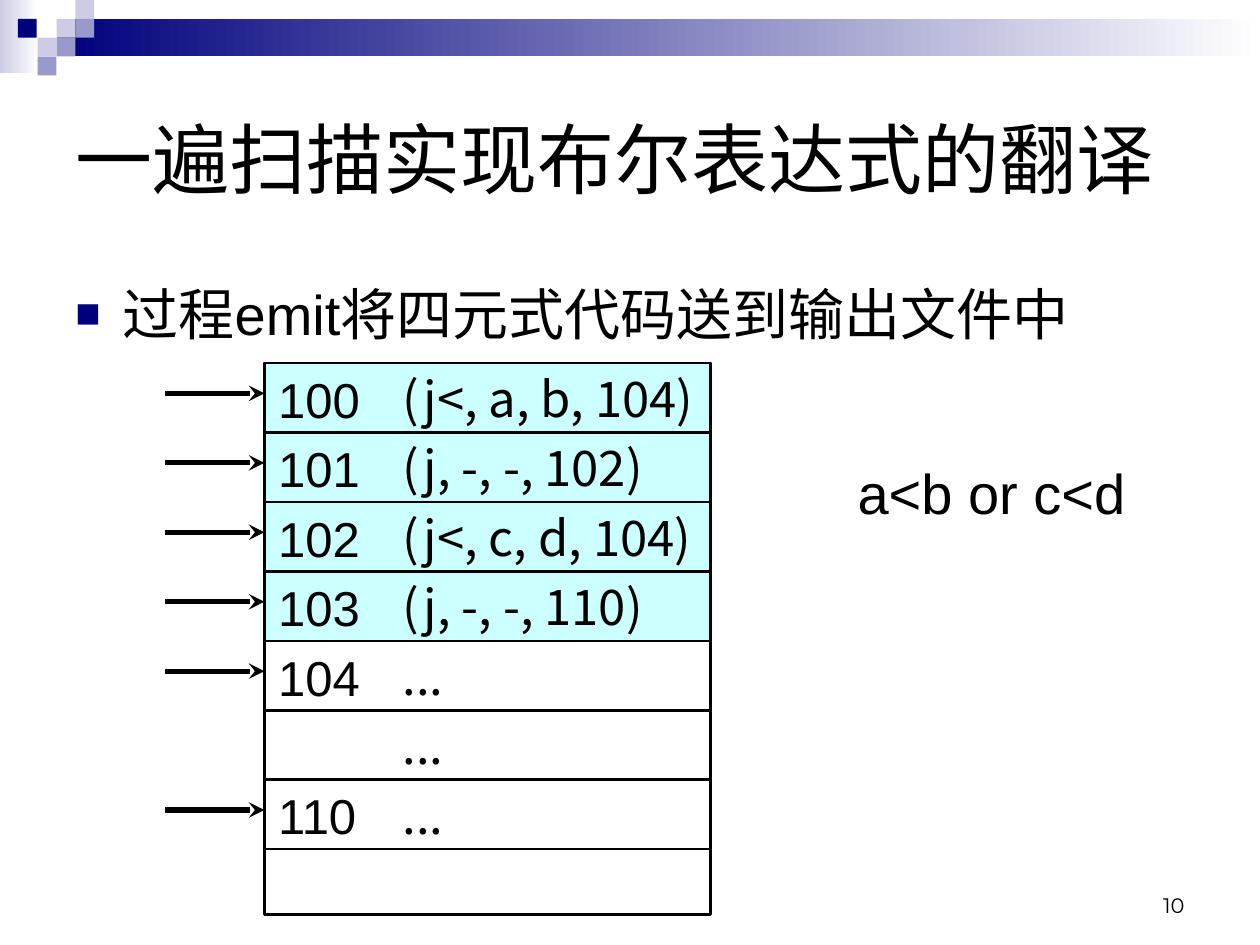
from lxml.etree import SubElement
from pptx import Presentation
from pptx.dml.color import RGBColor
from pptx.enum.shapes import MSO_CONNECTOR, MSO_SHAPE
from pptx.enum.text import MSO_ANCHOR as ANCHOR, MSO_AUTO_SIZE, PP_ALIGN as ALIGN
from pptx.oxml.ns import qn
from pptx.util import Cm, Pt

COLORS = {"black": "000000", "white": "FFFFFF", "navy": "00007D",
          "lilac": "CCCCE6", "violet": "9999CC", "cyan": "CCFFFF"}
CJK = "Noto Sans CJK SC"

# Code table: label, quadruple, filled, arrow in front
ROWS = [("100", "(j<, a, b, 104)", True, True),
        ("101", "(j, -, -, 102)", True, True),
        ("102", "(j<, c, d, 104)", True, True),
        ("103", "(j, -, -, 110)", True, True),
        ("104", "...", False, True),
        ("", "...", False, False),
        ("110", "...", False, True)]
TABLE_X, TABLE_Y, TABLE_W, TABLE_H, ROW_H = 5.33, 7.32, 9, 11.12, 1.4

# Small header squares: left, top, colour
SQUARE = 0.38
SQUARES = [(1.14, 0.38, "lilac"), (1.52, 0, "lilac"), (1.52, 0.38, "violet"),
           (0.76, 0.76, "lilac"), (0.36, 0.38, "navy"),
           (1.14, 0.76, "violet"), (0.76, 1.14, "violet")]


def rgb(name):
    return RGBColor.from_string(COLORS[name])


def write(sp, text, size=28, font="Arial", align=ALIGN.LEFT, anchor=ANCHOR.TOP,
          wrap=True, left=0.25, right=0.25):
    tf = sp.text_frame
    tf.auto_size = MSO_AUTO_SIZE.NONE
    tf.word_wrap = wrap
    tf.vertical_anchor = anchor
    tf.margin_left, tf.margin_right = Cm(left), Cm(right)
    p = tf.paragraphs[0]
    p.alignment = align
    r = p.add_run()
    r.text = text
    r.font.size, r.font.name = Pt(size), font
    r.font.color.rgb = rgb("black")
    SubElement(r.font._element, qn("a:ea"), typeface=CJK)
    return p


def place(sp, x, y, w, h):
    sp.left, sp.top, sp.width, sp.height = Cm(x), Cm(y), Cm(w), Cm(h)


def add_rect(slide, x, y, w, h, fill=None, fade_to=None, outlined=False):
    sp = slide.shapes.add_shape(MSO_SHAPE.RECTANGLE, Cm(x), Cm(y), Cm(w), Cm(h))
    sp.shadow.inherit = False
    if fade_to:
        sp.fill.gradient()
        sp.fill.gradient_angle = 0
        for stop, name in zip(sp.fill.gradient_stops, (fill, fade_to)):
            stop.color.rgb = rgb(name)
    elif fill:
        sp.fill.solid()
        sp.fill.fore_color.rgb = rgb(fill)
    else:
        sp.fill.background()
    if outlined:
        sp.line.color.rgb = rgb("black")
        sp.line.width = Pt(1.5)
    else:
        sp.line.fill.background()
    return sp


def add_label(slide, x, y, w, h, text, **fmt):
    return write(slide.shapes.add_textbox(Cm(x), Cm(y), Cm(w), Cm(h)), text, **fmt)


def add_arrow(slide, x1, x2, y):
    line = slide.shapes.add_connector(MSO_CONNECTOR.STRAIGHT, Cm(x1), Cm(y), Cm(x2), Cm(y))
    line.line.color.rgb = rgb("black")
    line.line.width = Pt(3)
    SubElement(line.line._get_or_add_ln(), qn("a:tailEnd"), type="stealth")
    SubElement(line._element.spPr, qn("a:effectLst"))


def set_bullet(p, char, color, percent, indent):
    pPr = p._p.get_or_add_pPr()
    pPr.set("marL", str(Cm(indent)))
    pPr.set("indent", str(-Cm(indent)))
    SubElement(SubElement(pPr, qn("a:buClr")), qn("a:srgbClr"), val=COLORS[color])
    SubElement(pPr, qn("a:buSzPct"), val=str(percent * 1000))
    SubElement(pPr, qn("a:buFont"), typeface="Arial")
    SubElement(pPr, qn("a:buChar"), char=char)


def add_header(slide):
    add_rect(slide, 0, 0, 0.79, 1.47, "lilac", fade_to="white")
    add_rect(slide, 1.14, 0.38, 24.26, 0.76, "navy", fade_to="white")
    for x, y, name in SQUARES:
        add_rect(slide, x, y, SQUARE, SQUARE, name)


def add_code_table(slide):
    add_rect(slide, TABLE_X, TABLE_Y, TABLE_W, TABLE_H, outlined=True)
    for i, (label, code, filled, arrow) in enumerate(ROWS):
        y = TABLE_Y + i * ROW_H
        row = add_rect(slide, TABLE_X, y, TABLE_W, ROW_H,
                       "cyan" if filled else None, outlined=True)
        write(row, code, font=CJK, anchor=ANCHOR.MIDDLE, left=2.79, right=0)
        if label:
            add_label(slide, TABLE_X + 0.03, y, 2.16, 1.45, label, wrap=False)
        if arrow:
            add_arrow(slide, TABLE_X - 2, TABLE_X, y + 0.61)


def main():
    prs = Presentation()
    prs.slide_width, prs.slide_height = Cm(25.4), Cm(19.05)
    slide = prs.slides.add_slide(prs.slide_layouts[1])
    add_header(slide)

    # Title and bullet
    title, body = slide.placeholders
    place(title, 1.27, 1.27, 23.44, 3.81)
    write(title, "一遍扫描实现布尔表达式的翻译", size=44, anchor=ANCHOR.MIDDLE)
    place(body, 1.27, 5.51, 22.86, 10.8)
    p = write(body, "过程emit将四元式代码送到输出文件中", size=32)
    p.space_before = Pt(8)
    set_bullet(p, "■", "navy", 75, 0.95)

    # Generated code, source expression and page number
    add_code_table(slide)
    add_label(slide, 16.51, 9.12, 6.96, 1.63, "a<b or c<d", size=32, align=ALIGN.CENTER)
    add_label(slide, 18.21, 17.35, 5.92, 1.27, "10", size=12, font="Montserrat",
              align=ALIGN.RIGHT, anchor=ANCHOR.BOTTOM)
    prs.save("out.pptx")


if __name__ == "__main__":
    main()
